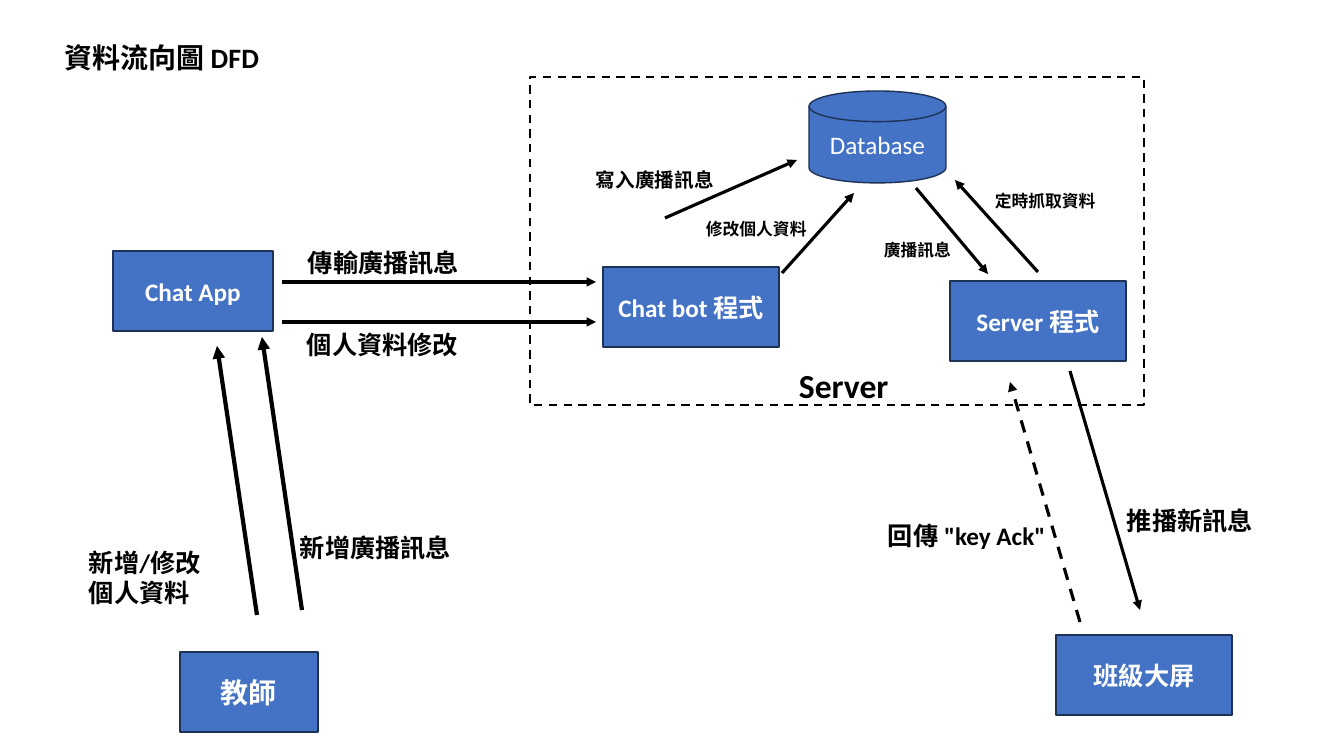
from dataclasses import dataclass

from lxml.etree import SubElement
from pptx import Presentation
from pptx.dml.color import RGBColor
from pptx.enum.dml import MSO_LINE_DASH_STYLE as Dash
from pptx.enum.shapes import MSO_CONNECTOR_TYPE as Connector, MSO_SHAPE as Shape
from pptx.enum.text import MSO_ANCHOR as Anchor, MSO_AUTO_SIZE as AutoSize, PP_ALIGN as Align
from pptx.oxml.ns import qn
from pptx.util import Pt

PIXEL = 914400 / 100.8  # EMU in one pixel


@dataclass(frozen=True)
class Theme:
    """Colours, font and type sizes of the slide."""
    black: RGBColor = RGBColor(0, 0, 0)
    white: RGBColor = RGBColor(255, 255, 255)
    blue: RGBColor = RGBColor(0x44, 0x72, 0xC4)
    navy: RGBColor = RGBColor(0x1E, 0x32, 0x56)
    font: str = "Calibri"
    tiny: int = 12
    small: int = 14
    body: int = 18
    title: int = 20
    large: int = 24


theme = Theme()


def emu(*pixels):
    """Turn pixel lengths into whole EMU."""
    return [round(pixel * PIXEL) for pixel in pixels]


def write(shape, lines, size, color, align=Align.LEFT, anchor=Anchor.TOP, bold=True, wrap=True):
    """Fill a shape with one styled run per paragraph."""
    frame = shape.text_frame
    frame.word_wrap = wrap
    frame.auto_size = AutoSize.NONE
    frame.vertical_anchor = anchor
    for index, line in enumerate(lines):
        paragraph = frame.add_paragraph() if index else frame.paragraphs[0]
        paragraph.alignment = align
        run = paragraph.add_run()
        run.text = line
        run.font.name = theme.font
        run.font.size = Pt(size)
        run.font.bold = bold
        run.font.color.rgb = color


presentation = Presentation()
presentation.slide_width, presentation.slide_height = emu(1344, 756)
slide = presentation.slides.add_slide(presentation.slide_layouts[5])
shapes = slide.shapes

# Title
title = shapes.title
title.left, title.top, title.width, title.height = emu(54, 35, 219, 44)
write(title, ["資料流向圖 DFD"], theme.title, theme.black)

# Server boundary
boundary = shapes.add_shape(Shape.RECTANGLE, *emu(530, 77, 614, 328))
boundary.shadow.inherit = False
boundary.fill.background()
boundary.line.color.rgb = theme.black
boundary.line.width = Pt(1.5)
boundary.line.dash_style = Dash.DASH

# Nodes: text, preset, left, top, width, height, type size, bold
nodes = [
    ("教師", Shape.RECTANGLE, 180, 652, 138, 80, theme.title, True),
    ("Chat App", Shape.RECTANGLE, 113, 251, 160, 80, theme.body, True),
    ("Chat bot 程式", Shape.RECTANGLE, 603, 267, 176, 80, theme.body, True),
    ("Server 程式", Shape.RECTANGLE, 950, 281, 176, 80, theme.body, True),
    ("班級大屏", Shape.RECTANGLE, 1056, 635, 176, 80, theme.body, True),
    ("Database", Shape.FLOWCHART_MAGNETIC_DISK, 809, 91, 137, 92, theme.body, False),
]
for text, preset, left, top, width, height, size, bold in nodes:
    node = shapes.add_shape(preset, *emu(left, top, width, height))
    node.shadow.inherit = False
    node.fill.solid()
    node.fill.fore_color.rgb = theme.blue
    node.line.color.rgb = theme.navy
    node.line.width = Pt(1)
    write(node, [text], size, theme.white, Align.CENTER, Anchor.MIDDLE, bold)

# Data flows: start x, start y, end x, end y, line width, dash
flows = [
    (302, 610, 262, 337, 3, None),
    (257, 615, 217, 346, 3, None),
    (282, 282, 596, 282, 2.25, None),
    (282, 322, 596, 322, 2.25, None),
    (665, 218, 797, 160, 2.25, None),
    (782, 273, 854, 193, 2.25, None),
    (1038, 272, 955, 180, 2.25, None),
    (916, 188, 988, 274, 2.25, None),
    (1070, 371, 1140, 610, 2.25, None),
    (1080, 622, 1010, 382, 2.25, Dash.DASH),
]
for start_x, start_y, end_x, end_y, weight, dash in flows:
    flow = shapes.add_connector(Connector.STRAIGHT, *emu(start_x, start_y, end_x, end_y))
    flow.line.color.rgb = theme.black
    flow.line.width = Pt(weight)
    if dash:
        flow.line.dash_style = dash
    SubElement(flow.line._get_or_add_ln(), qn("a:tailEnd"), type="triangle")
    SubElement(flow._element.spPr, qn("a:effectLst"))

# Labels: lines, left, top, width, height, type size, wrap
labels = [
    (["新增廣播訊息"], 290, 527, 173, 40, theme.body, False),
    (["新增/修改", "個人資料"], 79, 542, 133, 72, theme.body, True),
    (["Server"], 789, 360, 111, 50, theme.large, False),
    (["傳輸廣播訊息"], 298, 242, 173, 40, theme.body, False),
    (["個人資料修改"], 297, 324, 173, 40, theme.body, False),
    (["寫入廣播訊息"], 586, 163, 139, 34, theme.small, False),
    (["修改個人資料"], 696, 214, 122, 30, theme.tiny, False),
    (["定時抓取資料"], 985, 186, 122, 30, theme.tiny, False),
    (["廣播訊息"], 874, 235, 89, 30, theme.tiny, False),
    (["推播新訊息"], 1117, 500, 147, 40, theme.body, False),
    (["回傳 \"key Ack\""], 878, 515, 179, 40, theme.body, True),
]
for lines, left, top, width, height, size, wrap in labels:
    label = shapes.add_textbox(*emu(left, top, width, height))
    write(label, lines, size, theme.black, wrap=wrap)

presentation.save("out.pptx")
